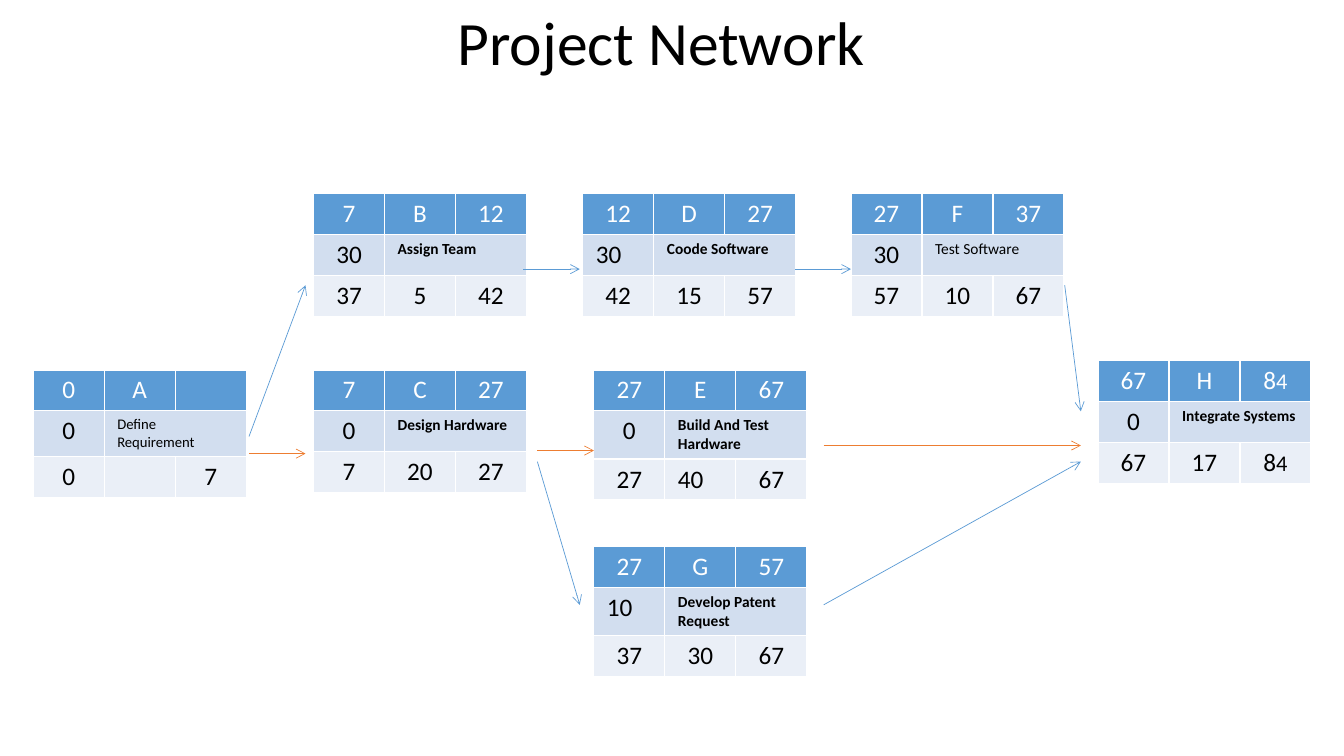
from lxml.etree import SubElement
from pptx import Presentation
from pptx.dml.color import RGBColor
from pptx.enum.shapes import MSO_CONNECTOR
from pptx.enum.text import MSO_ANCHOR, PP_ALIGN
from pptx.oxml.ns import qn
from pptx.util import Inches, Pt

COLORS = {
    "header": "5B9BD5", "middle": "D2DEEF", "bottom": "EAEFF7",
    "arrow": "5B9BD5", "critical": "ED7D31", "white": "FFFFFF", "black": "000000",
}
FONT = "Calibri"
COLUMN, ROW = 0.704, 0.405
ROW_FILLS = ("header", "middle", "bottom")
NAME_FORMAT = {"size": 11, "bold": True}
SMALL_DIGIT = ("8", "4")

ACTIVITIES = [
    {"at": (0.33, 3.67), "top": ("0", "A", ""), "slack": "0",
     "name": "Define Requirement", "bottom": ("0", "", "7"),
     "name_format": {"size": 10.5, "bold": False}},
    {"at": (3.11, 3.67), "top": ("7", "C", "27"), "slack": "0",
     "name": "Design Hardware", "bottom": ("7", "20", "27")},
    {"at": (3.11, 1.92), "top": ("7", "B", "12"), "slack": "30",
     "name": "Assign Team", "bottom": ("37", "5", "42")},
    {"at": (5.78, 1.92), "top": ("12", "D", "27"), "slack": "30",
     "name": "Coode Software", "bottom": ("42", "15", "57"), "left": (1, 0)},
    {"at": (5.89, 3.67), "top": ("27", "E", "67"), "slack": "0",
     "name": "Build And Test Hardware", "bottom": ("27", "40", "67"), "left": (2, 1)},
    {"at": (8.44, 1.92), "top": ("27", "F", "37"), "slack": "30",
     "name": "Test Software", "bottom": ("57", "10", "67"),
     "name_format": {"size": 11, "bold": False}},
    {"at": (10.89, 3.58), "top": ("67", "H", SMALL_DIGIT), "slack": "0",
     "name": "Integrate Systems", "bottom": ("67", "17", SMALL_DIGIT)},
    {"at": (5.89, 5.42), "top": ("27", "G", "57"), "slack": "10",
     "name": "Develop Patent Request", "bottom": ("37", "30", "67"), "left": (1, 0)},
]

ARROWS = [
    ((8.17, 4.42), (10.72, 4.42), "critical"),
    ((7.89, 2.67), (8.44, 2.67), "arrow"),
    ((5.33, 4.47), (5.89, 4.47), "critical"),
    ((2.47, 4.5), (3.03, 4.5), "critical"),
    ((5.19, 2.67), (5.75, 2.67), "arrow"),
    ((2.47, 4.33), (3.03, 2.83), "arrow"),
    ((5.33, 4.58), (5.75, 6), "arrow"),
    ((8.17, 6), (10.72, 4.58), "arrow"),
    ((10.56, 2.83), (10.72, 4.08), "arrow"),
]


def rgb(name):
    return RGBColor.from_string(COLORS[name])


def add_run(p, text, size, color="black", bold=False):
    r = p.add_run()
    r.text = text
    for key, value in {"name": FONT, "size": Pt(size), "bold": bold}.items():
        setattr(r.font, key, value)
    r.font.color.rgb = rgb(color)


def add_title(slide, text):
    sp = slide.shapes.title
    box = {"left": 0.56, "top": -0.42, "width": 12, "height": 1.75}
    for key, value in box.items():
        setattr(sp, key, Inches(value))
    tf = sp.text_frame
    tf.vertical_anchor = MSO_ANCHOR.MIDDLE
    p = tf.paragraphs[0]
    p.alignment = PP_ALIGN.CENTER
    p.line_spacing = 0.9
    add_run(p, text, 44)


def fill_cell(cell, text, align, size=18, color="black", bold=False):
    margins = {"margin_left": 0.13, "margin_right": 0.13,
               "margin_top": 0.05, "margin_bottom": 0.05}
    for key, value in margins.items():
        setattr(cell, key, Inches(value))
    p = cell.text_frame.paragraphs[0]
    p.alignment = align
    parts = (text,) if isinstance(text, str) else text
    for part, part_size in zip(parts, (size, 16)):
        if part:
            add_run(p, part, part_size, color, bold)


def add_activity(slide, activity):
    x, y = activity["at"]
    table = slide.shapes.add_table(
        3, 3, Inches(x), Inches(y), Inches(3 * COLUMN), Inches(3 * ROW)).table
    for column in table.columns:
        column.width = Inches(COLUMN)
    for row in table.rows:
        row.height = Inches(ROW)
    table.cell(1, 1).merge(table.cell(1, 2))

    rows = (activity["top"], (activity["slack"],), activity["bottom"])
    for i, values in enumerate(rows):
        for j in range(3):
            fill = table.cell(i, j).fill
            fill.solid()
            fill.fore_color.rgb = rgb(ROW_FILLS[i])
        for j, value in enumerate(values):
            is_left = activity.get("left") == (i, j)
            align = PP_ALIGN.LEFT if is_left else PP_ALIGN.CENTER
            fill_cell(table.cell(i, j), value, align,
                      color="black" if i else "white")
    fill_cell(table.cell(1, 1), activity["name"], PP_ALIGN.LEFT,
              **activity.get("name_format", NAME_FORMAT))


def add_arrow(slide, start, end, color):
    points = [Inches(v) for v in start + end]
    line = slide.shapes.add_connector(MSO_CONNECTOR.STRAIGHT, *points)
    line.line.color.rgb = rgb(color)
    line.line.width = Pt(0.5)
    SubElement(line.line._get_or_add_ln(), qn("a:tailEnd"), type="arrow")
    SubElement(line._element.spPr, qn("a:effectLst"))


def main():
    prs = Presentation()
    prs.slide_width, prs.slide_height = Inches(13.33), Inches(7.5)
    slide = prs.slides.add_slide(prs.slide_layouts[5])
    add_title(slide, "Project Network")
    for activity in ACTIVITIES:
        add_activity(slide, activity)
    for start, end, color in ARROWS:
        add_arrow(slide, start, end, color)
    prs.save("out.pptx")


main()
